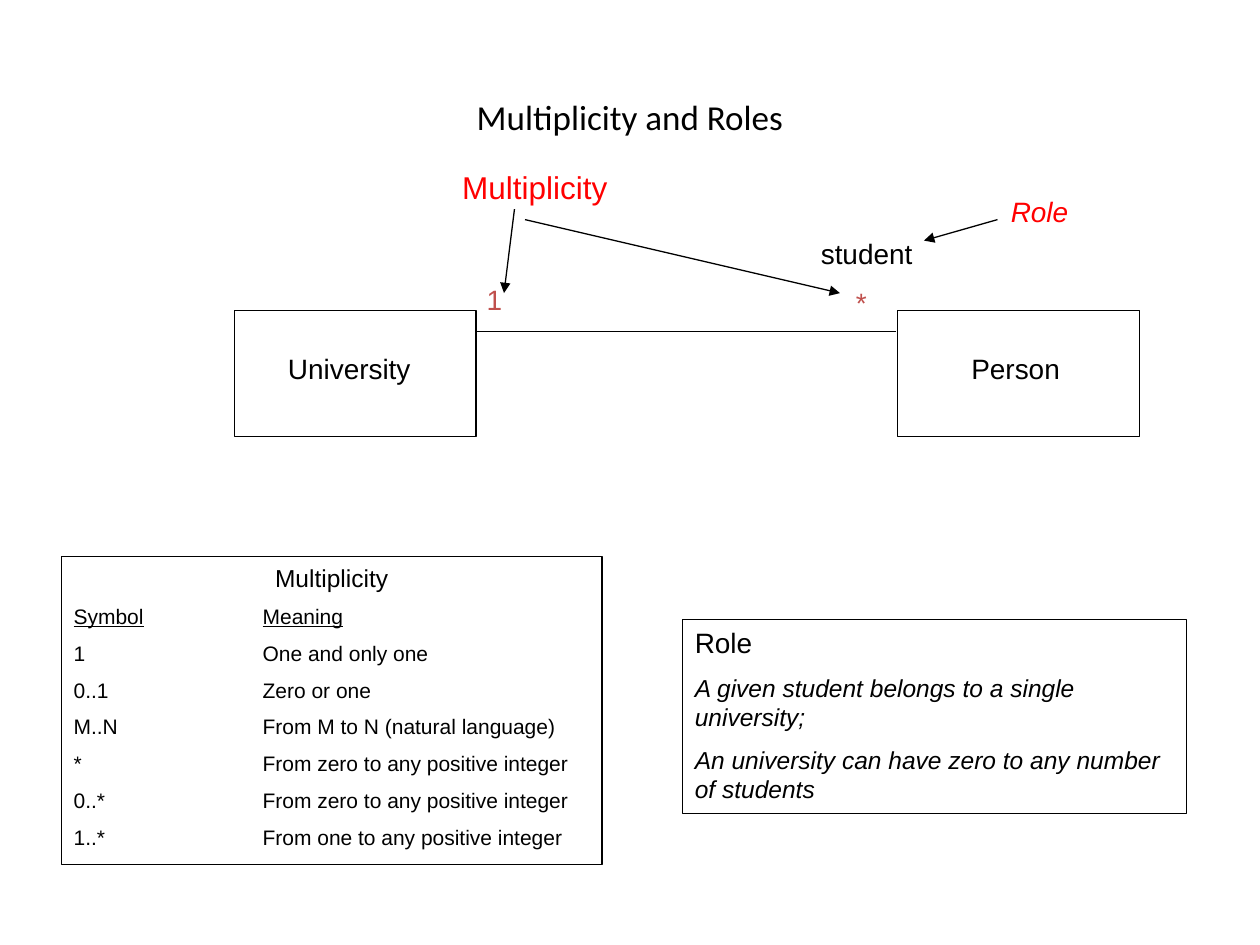
from lxml import etree
from pptx import Presentation
from pptx.dml.color import RGBColor
from pptx.enum import shapes, text
from pptx.oxml import ns
from pptx.util import Pt

BLACK, RED, BRICK = "000000", "FF0000", "C0504D"
MEANINGS = [
    ("1", "One and only one"),
    ("0..1", "Zero or one"),
    ("M..N", "From M to N (natural language)"),
    ("*", "From zero to any positive integer"),
    ("0..*", "From zero to any positive integer"),
    ("1..*", "From one to any positive integer"),
]


def color(value):
    return RGBColor.from_string(value)


def set_font(para, size, value=BLACK, name="Arial", italic=False):
    font = para.font
    font.name, font.size, font.italic = name, Pt(size), italic
    font.color.rgb = color(value)


def add_title(page, left, top, width, height):
    title = page.shapes.title
    title.left, title.top, title.width, title.height = map(
        Pt, (left, top, width, height))
    frame = title.text_frame
    frame.text = "Multiplicity and Roles"
    frame.vertical_anchor = text.MSO_ANCHOR.MIDDLE
    para = frame.paragraphs[0]
    para.alignment = text.PP_ALIGN.CENTER
    set_font(para, 20, name="Calibri")


def add_frame(page, left, top, width, height):
    """Draw an outlined, unfilled rectangle with text starting at its top left."""
    box = page.shapes.add_shape(
        shapes.MSO_SHAPE.RECTANGLE, *map(Pt, (left, top, width, height)))
    box.shadow.inherit = False
    box.fill.background()
    box.line.color.rgb = color(BLACK)
    box.line.width = Pt(0.75)
    box.text_frame.word_wrap = True
    box.text_frame.vertical_anchor = text.MSO_ANCHOR.TOP
    return box


def add_label(page, words, left, top, width, size=16, value=BLACK, italic=False):
    box = page.shapes.add_textbox(*map(Pt, (left, top, width, size * 1.67)))
    frame = box.text_frame
    frame.word_wrap = False
    frame.text = words
    set_font(frame.paragraphs[0], size, value, italic=italic)


def add_line(page, start, end, arrow=False):
    line = page.shapes.add_connector(
        shapes.MSO_CONNECTOR.STRAIGHT, *map(Pt, (*start, *end)))
    line.line.color.rgb = color(BLACK)
    line.line.width = Pt(0.75)
    if arrow:
        etree.SubElement(line.line._get_or_add_ln(), ns.qn("a:tailEnd"),
                         type="triangle")
    etree.SubElement(line._element.spPr, ns.qn("a:effectLst"))


def add_class(page, name, left, top, inset, width):
    add_frame(page, left, top, 138, 72)
    add_label(page, name, left + inset, top + 20, width)


def add_paragraph(frame, words, size, gap=0, italic=False):
    """Fill the empty first paragraph, or append one after a gap."""
    para = frame.add_paragraph() if gap else frame.paragraphs[0]
    para.text = words
    para.alignment = text.PP_ALIGN.LEFT
    if gap:
        para.space_before = Pt(gap)
    set_font(para, size, italic=italic)
    return para


def add_diagram(page, left, top):
    """Draw the two classes, their association and its annotations."""
    add_class(page, "University", left, top, 23.5, 92)
    add_class(page, "Person", left + 379, top, 35, 68)
    add_line(page, (left + 138, top + 12), (left + 378, top + 12))
    add_label(page, "1", left + 137, top - 19.5, 23, value=BRICK)
    add_label(page, "*", left + 348, top - 18, 21, value=BRICK)
    add_label(page, "student", left + 328, top - 46, 72)
    add_label(page, "Role", left + 436.5, top - 70, 49, value=RED, italic=True)
    add_label(page, "Multiplicity", left + 123, top - 85, 109, 18, RED)
    for start, end in [((436, -52), (394, -40)),
                       ((160, -58), (154, -10)),
                       ((166, -52), (346, -10))]:
        add_line(page, (left + start[0], top + start[1]),
                 (left + end[0], top + end[1]), arrow=True)


def add_legend(page, left, top, width, height):
    frame = add_frame(page, left, top, width, height).text_frame
    heading = add_paragraph(frame, "Multiplicity", 14)
    heading.alignment = text.PP_ALIGN.CENTER
    for row, cells in enumerate([("Symbol", "Meaning"), *MEANINGS]):
        para = add_paragraph(frame, "\t".join(cells), 12, gap=6.6)
        stops = etree.Element(ns.qn("a:tabLst"))
        etree.SubElement(stops, ns.qn("a:tab"), pos=str(Pt(108)), algn="l")
        para._p.pPr.find(ns.qn("a:defRPr")).addprevious(stops)
        para.font.underline = row == 0


def add_role_note(page, left, top, width, height):
    frame = add_frame(page, left, top, width, height).text_frame
    add_paragraph(frame, "Role", 16)
    for words in ("A given student belongs to a single university;",
                  "An university can have zero to any number of students"):
        add_paragraph(frame, words, 14, gap=7.7, italic=True)


def main():
    deck = Presentation()
    deck.slide_width, deck.slide_height = Pt(720), Pt(540)
    page = deck.slides.add_slide(deck.slide_layouts[5])
    add_title(page, 36, 21.6, 648, 90)
    add_diagram(page, 134, 177.5)
    add_legend(page, 35, 318, 309, 176)
    add_role_note(page, 390, 354, 288, 111)
    deck.save("out.pptx")


if __name__ == "__main__":
    main()
